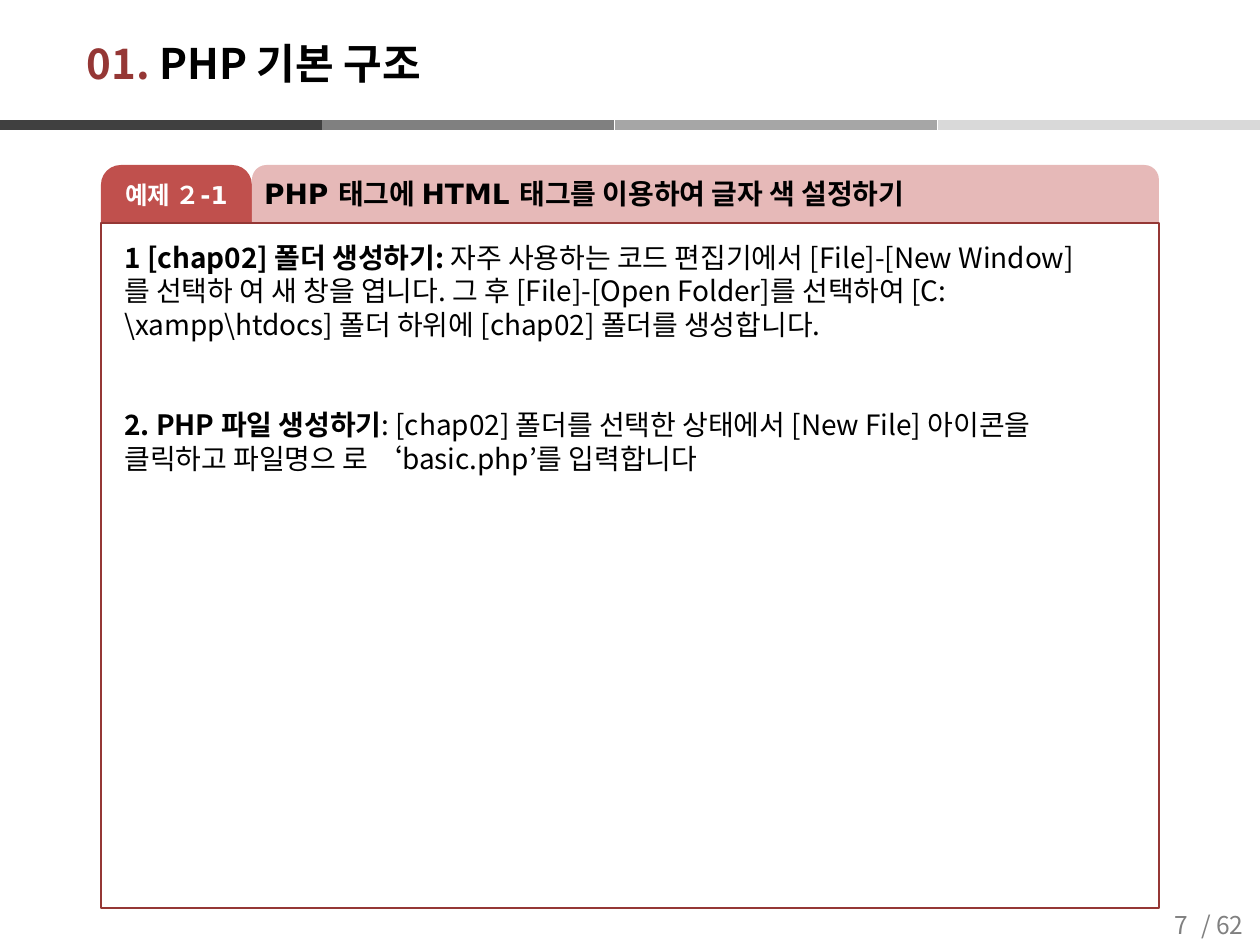
from lxml import etree
from pptx import Presentation
from pptx import util as u
from pptx.dml.color import RGBColor
from pptx.enum import shapes, text
from pptx.oxml.ns import qn

SCALE = 914400 // 126
NOTO, DEJA = "Noto Sans CJK KR", "DejaVu Sans"
RED, BLACK, WHITE, GREY = "953735", "000000", "FFFFFF", "808080"
LEFT, MID = text.PP_ALIGN.LEFT, text.PP_ALIGN.CENTER

# Content: each run is (words, colour, bold)
TITLE = [("01. ", RED, True), ("PHP 기본 구조", BLACK, True)]
BARS = [(292, GREY), (615, "A6A6A6"), (938, "D9D9D9"), (0, "404040")]
BAR_Y, BAR_W = 125, 322
TABS = [  # left, width, fill, corner, size, align, runs
    (101, 151, "C0504D", 0.34, 14, MID, [("예제 ２-1", WHITE, True)]),
    (252, 907, "E6B9B8", 0.25, 16, LEFT,
     [("PHP 태그에 HTML 태그를 이용하여 글자 색 설정하기", BLACK, True)]),
]
STEPS = [
    [("1 [chap02] 폴더 생성하기: ", BLACK, True),
     ("자주 사용하는 코드 편집기에서 [File]-[New Window]를 선택하 여 새 창을 엽니다. "
      "그 후 [File]-[Open Folder]를 선택하여 [C:\\xampp\\htdocs] 폴더 하위에 "
      "[chap02] 폴더를 생성합니다.", BLACK, False)],
    [("2. PHP 파일 생성하기", BLACK, True),
     (": [chap02] 폴더를 선택한 상태에서 [New File] 아이콘을 클릭하고 파일명으 로 "
      "‘basic.php’를 입력합니다", BLACK, False)],
]
PAGES = [(1137, "7"), (1178, "/ 62")]


def px(*nums):
    return [u.Emu(n * SCALE) for n in nums]


def rgb(code):
    return RGBColor.from_string(code)


def write(par, runs, size, face=NOTO, align=LEFT):
    par.alignment = align
    for words, tint, bold in runs:
        run = par.add_run()
        run.text = words
        form = {"size": u.Pt(size), "bold": bold, "name": face}
        for key, val in form.items():
            setattr(run.font, key, val)
        run.font.color.rgb = rgb(tint)
        east = etree.SubElement(run.font._element, qn("a:ea"))
        east.set("typeface", NOTO)


def frame(shape, anchor=text.MSO_ANCHOR.MIDDLE, wrap=True):
    box = shape.text_frame
    form = {"word_wrap": wrap, "vertical_anchor": anchor,
            "auto_size": text.MSO_AUTO_SIZE.NONE}
    for key, val in form.items():
        setattr(box, key, val)
    return box


deck = Presentation()
deck.slide_width, deck.slide_height = px(1260, 945)
slide = deck.slides.add_slide(deck.slide_layouts[5])
parts = slide.shapes

# Title
head = parts.title
head.left, head.top, head.width, head.height = px(74, 25, 942, 76)
write(frame(head).paragraphs[0], TITLE, 24)

# Four-tone rule under the title
for left, tint in BARS:
    bar = parts.add_connector(shapes.MSO_CONNECTOR.STRAIGHT,
                              *px(left, BAR_Y, left + BAR_W, BAR_Y))
    bar.line.width = u.Pt(6)
    bar.line.color.rgb = rgb(tint)
    etree.SubElement(bar._element.spPr, qn("a:effectLst"))

# Page number
for left, words in PAGES:
    note = parts.add_textbox(*px(left, 900, 89, 49))
    write(frame(note).paragraphs[0], [(words, GREY, False)], 14, align=MID)

# Example heading tabs
for left, width, fill, corner, size, align, runs in TABS:
    tab = parts.add_shape(shapes.MSO_SHAPE.ROUND_2_SAME_RECTANGLE,
                          *px(left, 165, width, 58))
    tab.adjustments[0] = corner
    tab.shadow.inherit = False
    tab.fill.solid()
    tab.fill.fore_color.rgb = rgb(fill)
    tab.line.fill.background()
    box = frame(tab, wrap=False)
    box.margin_left, box.margin_top, box.margin_right = px(8, 1, 8)
    write(box.paragraphs[0], runs, size, DEJA, align)

# Body panel
panel = parts.add_shape(shapes.MSO_SHAPE.RECTANGLE, *px(101, 223, 1058, 685))
panel.shadow.inherit = False
panel.fill.background()
panel.line.color.rgb = rgb(RED)
panel.line.width = u.Pt(1)

# Steps
body = frame(parts.add_textbox(*px(112, 234, 992, 285)), text.MSO_ANCHOR.TOP)
for num, runs in enumerate(STEPS):
    par = body.add_paragraph() if num else body.paragraphs[0]
    par.line_spacing = u.Pt(19.2)
    par.space_before = u.Pt(38 if num else 0)
    write(par, runs, 16)

deck.save("out.pptx")
